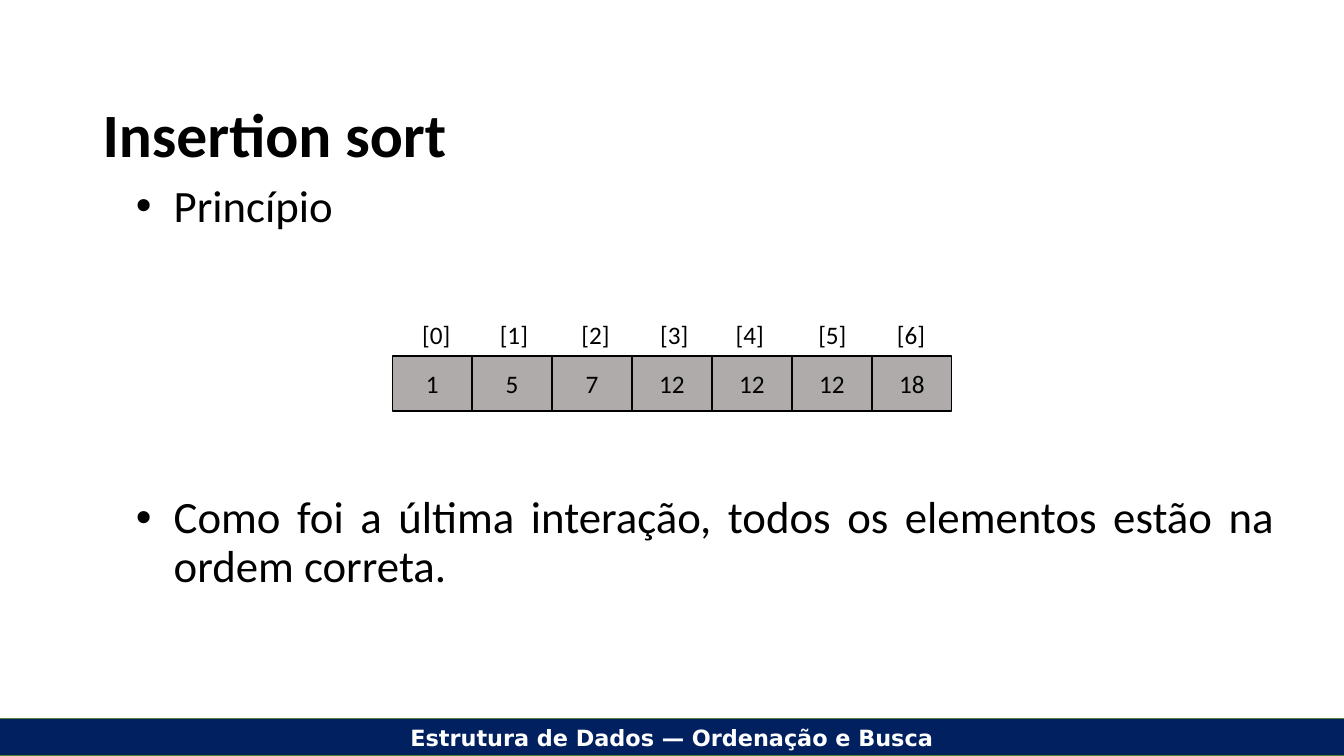
from dataclasses import dataclass

from lxml import etree
from pptx import Presentation
from pptx import util as u
from pptx.dml import color
from pptx.enum import shapes, text
from pptx.oxml import ns


@dataclass(frozen=True)
class Theme:
    ink: color.RGBColor = color.RGBColor(0, 0, 0)
    paper: color.RGBColor = color.RGBColor(255, 255, 255)
    cell: color.RGBColor = color.RGBColor(0xAF, 0xAB, 0xAB)
    footer: color.RGBColor = color.RGBColor(0x00, 0x20, 0x60)
    footer_edge: color.RGBColor = color.RGBColor(0x54, 0x82, 0x35)
    face: str = "Calibri"
    footer_face: str = "DejaVu Sans"
    title_size: int = 44
    body_size: int = 32
    array_size: int = 18
    footer_size: int = 16


THEME = Theme()
VALUES = (1, 5, 7, 12, 12, 12, 18)
INDEX_LEFTS = (294.5, 349.9, 408.2, 464.4, 518.4, 577.4, 633.6)
CELL_LEFT, CELL_TOP, CELL_WIDTH, CELL_HEIGHT = 280.2, 254.2, 57.1, 39.4


def apply(target, values):
    for name, value in values.items():
        setattr(target, name, value)


def write(paragraph, words, size, ink=THEME.ink, face=THEME.face, bold=False, **layout):
    run = paragraph.add_run()
    run.text = words
    apply(run.font, {"size": u.Pt(size), "name": face, "bold": bold})
    run.font.color.rgb = ink
    apply(paragraph, layout)


def add_words(parent, box, **frame_format):
    label = parent.add_textbox(*map(u.Pt, box))
    apply(label.text_frame, frame_format)
    return label.text_frame


def add_block(parent, box, fill, edge, weight, **frame_format):
    block = parent.add_shape(shapes.MSO_SHAPE.RECTANGLE, *map(u.Pt, box))
    block.shadow.inherit = False
    block.fill.solid()
    block.fill.fore_color.rgb = fill
    block.line.color.rgb = edge
    block.line.width = u.Pt(weight)
    apply(block.text_frame, frame_format)
    return block.text_frame.paragraphs[0]


def add_bullet(paragraph, words, gap):
    properties = paragraph._p.get_or_add_pPr()
    apply_indent = {"marL": u.Pt(27), "indent": u.Pt(-27)}
    for name, value in apply_indent.items():
        properties.set(name, str(value))
    font = etree.SubElement(properties, ns.qn("a:buFont"))
    font.set("typeface", "Arial")
    etree.SubElement(properties, ns.qn("a:buChar")).set("char", "•")
    write(paragraph, words, THEME.body_size, line_spacing=0.9,
          space_before=u.Pt(gap), alignment=text.PP_ALIGN.JUSTIFY)


def add_array(slide):
    array = slide.shapes.add_group_shape().shapes
    for index, (value, index_left) in enumerate(zip(VALUES, INDEX_LEFTS)):
        cell_box = (CELL_LEFT + index * CELL_WIDTH, CELL_TOP, CELL_WIDTH, CELL_HEIGHT)
        cell = add_block(array, cell_box, THEME.cell, THEME.ink, 1,
                         vertical_anchor=text.MSO_ANCHOR.MIDDLE)
        write(cell, str(value), THEME.array_size, alignment=text.PP_ALIGN.CENTER)
        position = add_words(array, (index_left, 224.6, 34.6, 29), word_wrap=False)
        write(position.paragraphs[0], f"[{index}]", THEME.array_size)


def main():
    deck = Presentation()
    apply(deck, {"slide_width": u.Pt(960), "slide_height": u.Pt(540)})
    slide = deck.slides.add_slide(deck.slide_layouts[6])

    footer = add_block(slide.shapes, (-0.7, 513.4, 961.2, 26.6), THEME.footer,
                       THEME.footer_edge, 0.75, vertical_anchor=text.MSO_ANCHOR.TOP)
    write(footer, "Estrutura de Dados — Ordenação e Busca", THEME.footer_size,
          THEME.paper, THEME.footer_face, True, alignment=text.PP_ALIGN.CENTER)

    principle = add_words(slide.shapes, (90, 127.4, 828, 353.5), word_wrap=True)
    add_bullet(principle.paragraphs[0], "Princípio", 0)
    add_bullet(principle.add_paragraph(),
               "Como foi a última interação, todos os elementos estão na ordem correta.", 188)

    add_array(slide)

    title = add_words(slide.shapes, (66.2, 69.1, 828, 58.3), word_wrap=True,
                      vertical_anchor=text.MSO_ANCHOR.MIDDLE)
    write(title.paragraphs[0], "Insertion sort", THEME.title_size, bold=True, line_spacing=0.9)

    deck.save("out.pptx")


if __name__ == "__main__":
    main()
